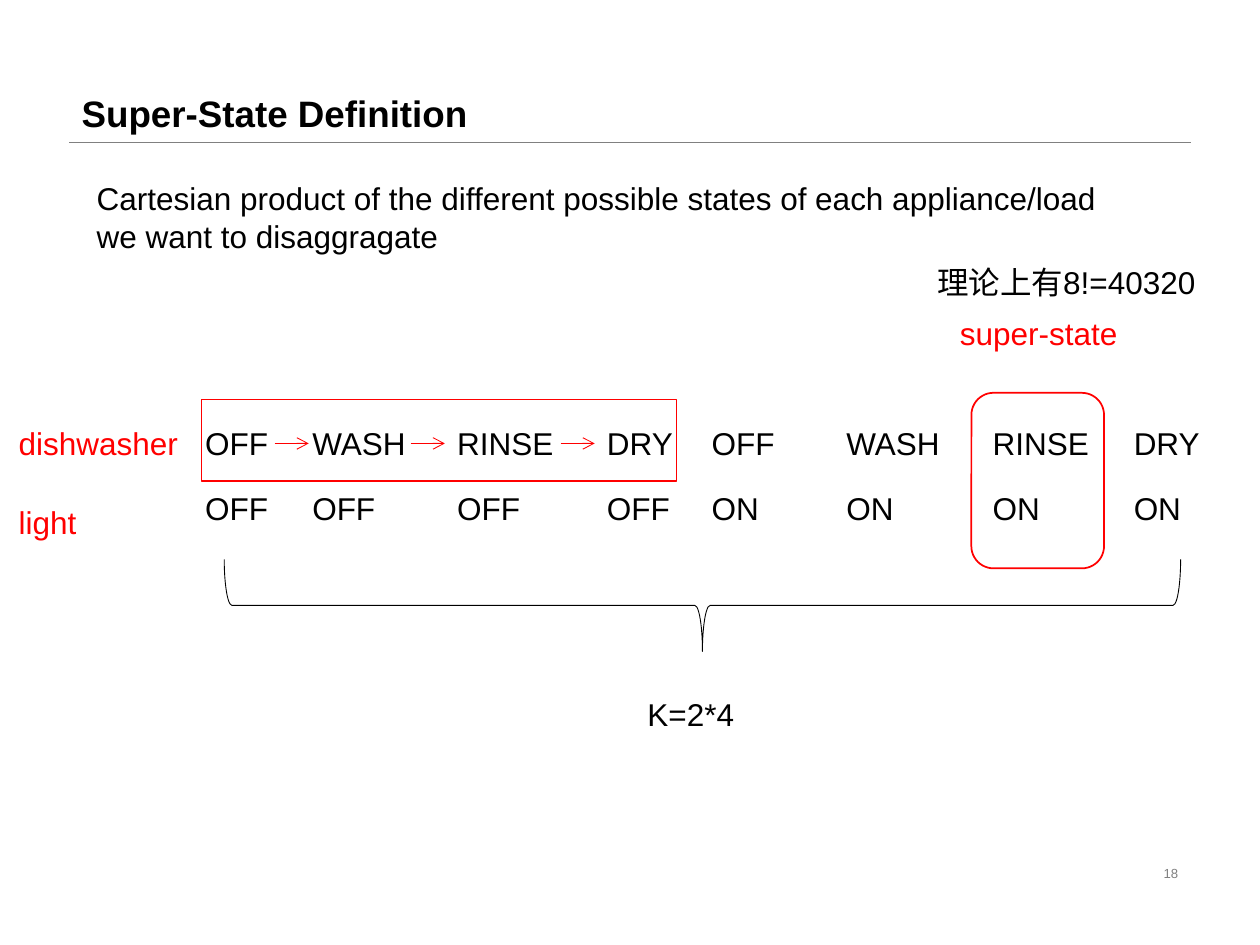
from lxml.etree import SubElement
from pptx import Presentation
from pptx.dml.color import RGBColor
from pptx.enum.shapes import MSO_CONNECTOR, MSO_SHAPE
from pptx.enum.text import MSO_ANCHOR, MSO_AUTO_SIZE, PP_ALIGN
from pptx.oxml.ns import qn
from pptx.util import Pt

BLACK, RED, GRAY = "000000", "FF0000", "808080"
COLUMNS = [(110.2, 58), (171.4, 80), (254.2, 78), (339.8, 61),
           (399.6, 74), (476.6, 80), (560.2, 78), (640.8, 61)]
CYCLE = ["OFF", "WASH", "RINSE", "DRY"]
LIGHTS = ["OFF", "ON"]
DISHWASHER_TOP, LIGHT_TOP, ROW_HEIGHT = 239, 275.8, 28.8


def color(value):
    """Turn a hex string into a colour."""
    return RGBColor.from_string(value)


def write(frame, text, size=18, ink=BLACK, bold=False, align=PP_ALIGN.LEFT,
          anchor=MSO_ANCHOR.TOP, spacing=1.0, font="Arial"):
    """Write one formatted paragraph into a text frame."""
    frame.word_wrap = True
    frame.vertical_anchor = anchor
    paragraph = frame.paragraphs[0]
    paragraph.alignment = align
    paragraph.line_spacing = spacing
    run = paragraph.add_run()
    run.text = text
    run.font.name = font
    run.font.size = Pt(size)
    run.font.bold = bold
    run.font.color.rgb = color(ink)


class Canvas:
    """Add elements in one style to the current slide."""

    def __init__(self, slide, font="Arial"):
        """Keep the slide and its font."""
        self.slide = slide
        self.font = font

    def text(self, text, left, top, width, height=ROW_HEIGHT, grow=True, **style):
        """Add a text box."""
        box = self.slide.shapes.add_textbox(Pt(left), Pt(top), Pt(width), Pt(height))
        write(box.text_frame, text, font=self.font, **style)
        if grow:
            box.text_frame.auto_size = MSO_AUTO_SIZE.SHAPE_TO_FIT_TEXT
        return box

    def outline(self, kind, left, top, width, height, ink=RED, weight=1, rotation=0):
        """Add an unfilled preset shape."""
        shape = self.slide.shapes.add_shape(kind, Pt(left), Pt(top), Pt(width), Pt(height))
        shape.shadow.inherit = False
        shape.fill.background()
        shape.line.color.rgb = color(ink)
        shape.line.width = Pt(weight)
        shape.rotation = rotation
        return shape

    def line(self, left, right, y, ink, weight, arrow=False, target=None):
        """Add a horizontal line, with an arrowhead and a target box if wanted."""
        connector = self.slide.shapes.add_connector(
            MSO_CONNECTOR.STRAIGHT, Pt(left), Pt(y), Pt(right), Pt(y))
        connector.line.color.rgb = color(ink)
        connector.line.width = Pt(weight)
        if arrow:
            SubElement(connector.line._get_or_add_ln(), qn("a:tailEnd"), type="arrow")
        SubElement(connector._element.spPr, qn("a:effectLst"))
        if target is not None:
            connector.end_connect(target, 1)
        return connector


def main():
    """Build and save the slide."""
    presentation = Presentation()
    presentation.slide_width, presentation.slide_height = Pt(720), Pt(540)
    canvas = Canvas(presentation.slides.add_slide(presentation.slide_layouts[6]))

    canvas.line(39.6, 680.4, 81, GRAY, 0.25)
    canvas.text("Super-State Definition", 39.6, 0, 640.8, 81, grow=False,
                size=21, bold=True, anchor=MSO_ANCHOR.BOTTOM, spacing=0.9)
    canvas.text("18", 508.3, 491, 172.1, 16.6, grow=False, size=7.5, ink=GRAY,
                align=PP_ALIGN.RIGHT, anchor=MSO_ANCHOR.MIDDLE)
    canvas.text("Cartesian product of the different possible states of each "
                "appliance/load we want to disaggragate", 48.2, 98.6, 609.8, 51)

    state_boxes = []
    for index, (left, width) in enumerate(COLUMNS):
        light, step = divmod(index, len(CYCLE))
        state_boxes.append(canvas.text(CYCLE[step], left, DISHWASHER_TOP, width))
        canvas.text(LIGHTS[light], left, LIGHT_TOP, width)

    canvas.text("dishwasher", 3.6, DISHWASHER_TOP, 106.6, ink=RED)
    canvas.text("light", 3.6, 283.7, 90, ink=RED)
    canvas.outline(MSO_SHAPE.LEFT_BRACE, 375.1, 72.7, 52.6, 546.5,
                   ink=BLACK, weight=0.5, rotation=270)
    canvas.text("K=2*4", 362.9, 393.8, 147.6)

    canvas.outline(MSO_SHAPE.RECTANGLE, 115.2, 228.4, 271.4, 46.6)
    middle = DISHWASHER_TOP + ROW_HEIGHT / 2
    for right, target in [(176.4, None), (254.2, state_boxes[2]), (339.8, state_boxes[3])]:
        canvas.line(right - 19.5, right, middle, RED, 0.5, arrow=True, target=target)

    canvas.outline(MSO_SHAPE.ROUNDED_RECTANGLE, 555.1, 224.5, 75.8, 100.3)
    canvas.text("super-state", 541.4, 175.7, 106.6, ink=RED)
    canvas.text("理论上有8!=40320", 528.5, 146.9, 192.2)
    presentation.save("out.pptx")


if __name__ == "__main__":
    main()
